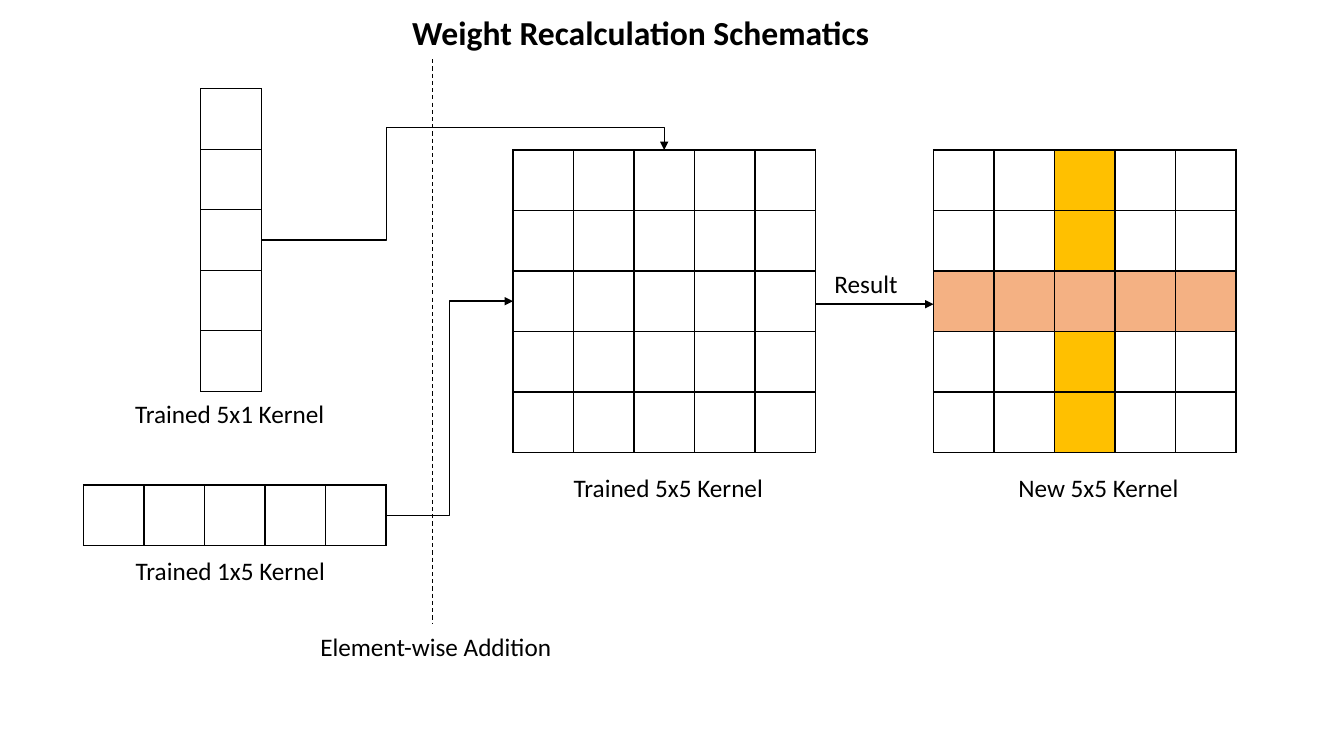
from lxml.etree import SubElement
from pptx import Presentation
from pptx.dml.color import RGBColor
from pptx.enum.dml import MSO_LINE
from pptx.enum.shapes import MSO_CONNECTOR as LINK
from pptx.oxml import parse_xml
from pptx.oxml.ns import nsdecls, qn
from pptx.util import Inches, Pt

CELL = 0.6
BLACK, GOLD, PEACH = "000000", "FFC000", "F4B183"
SIDES = ("lnL", "lnR", "lnT", "lnB")


def cells(count):
    """Convert a number of kernel cells to a length."""
    return Inches(count * CELL)


def color(value):
    """Turn a hex string into a colour."""
    return RGBColor.from_string(value)


def add_borders(cell):
    """Draw a thin black border on every side of a table cell."""
    props = cell._tc.get_or_add_tcPr()
    for index, side in enumerate(SIDES):
        props.insert(index, parse_xml(
            f'<a:{side} {nsdecls("a")} w="{Pt(1)}"><a:solidFill>'
            f'<a:srgbClr val="{BLACK}"/></a:solidFill></a:{side}>'))


def add_kernel(page, left, top, rows, columns, fills=None):
    """Add a kernel as a table of square cells, some of them filled."""
    frame = page.shapes.add_table(rows, columns, cells(left), cells(top),
                                  cells(columns), cells(rows))
    table = frame.table
    table.first_row = table.horz_banding = False
    for row in range(rows):
        for column in range(columns):
            cell = table.cell(row, column)
            value = (fills or {}).get((row, column))
            if value:
                cell.fill.solid()
                cell.fill.fore_color.rgb = color(value)
            else:
                cell.fill.background()
            add_borders(cell)


def add_label(page, text, left, top, width, height=0.67, size=18, bold=False):
    """Add one line of text."""
    box = page.shapes.add_textbox(cells(left), cells(top), cells(width), cells(height))
    box.text_frame.word_wrap = True
    span = box.text_frame.paragraphs[0].add_run()
    span.text = text
    span.font.name = "Calibri"
    span.font.size = Pt(size)
    span.font.bold = bold
    span.font.color.rgb = color(BLACK)


def add_link(page, start, end, kind=LINK.STRAIGHT, weight=1):
    """Add a plain black connector between two points."""
    link = page.shapes.add_connector(kind, *map(cells, start + end))
    link.line.width = Pt(weight)
    link.line.color.rgb = color(BLACK)
    SubElement(link.element.spPr, qn("a:effectLst"))
    return link


def add_arrow(page, start, end, kind=LINK.STRAIGHT):
    """Add a connector with a triangle head at its end."""
    arrow = add_link(page, start, end, kind)
    line = arrow.element.spPr.find(qn("a:ln"))
    SubElement(line, qn("a:tailEnd"), type="triangle")
    return arrow


def bend_twice(arrow, across, along):
    """Give an elbow arrow a further bend, placed by shares of its size."""
    shape = arrow.element.spPr.find(qn("a:prstGeom"))
    shape.set("prst", "bentConnector4")
    guides = shape.find(qn("a:avLst"))
    if guides is None:
        guides = SubElement(shape, qn("a:avLst"))
    for name, share in (("adj1", across), ("adj2", along)):
        SubElement(guides, qn("a:gd"), name=name, fmla=f"val {round(share * 100000)}")


def main():
    """Build the weight recalculation slide."""
    deck = Presentation()
    deck.slide_width, deck.slide_height = Inches(13.33), Inches(7.5)
    page = deck.slides.add_slide(deck.slide_layouts[6])

    size, middle = 5, 2.5
    tall_left, tall_top = 3.32, 1.47
    wide_left, wide_top = 1.38, 8.02
    trained_left, new_left, square_top = 8.48, 15.43, 2.48
    cross = {(row, size // 2): GOLD for row in range(size)}
    cross.update({(size // 2, column): PEACH for column in range(size)})

    add_kernel(page, trained_left, square_top, size, size)
    add_kernel(page, wide_left, wide_top, 1, size)
    add_kernel(page, tall_left, tall_top, size, 1)
    add_kernel(page, new_left, square_top, size, size, cross)

    column_arrow = add_arrow(page, (tall_left + 1, tall_top + middle),
                             (trained_left + middle, square_top), LINK.ELBOW)
    bend_twice(column_arrow, 0.31, 1.25)
    add_arrow(page, (wide_left + size, wide_top + 0.5),
              (trained_left, square_top + middle), LINK.ELBOW)
    result_row = square_top + middle + 0.05
    add_arrow(page, (trained_left + size, result_row), (new_left, result_row))
    divider = add_link(page, (7.15, 0.98), (7.15, 10.3), weight=0.75)
    divider.line.dash_style = MSO_LINE.DASH

    for text, left, top, width in (
            ("Trained 5x1 Kernel", 2.07, 6.5, 3.6),
            ("Trained 1x5 Kernel", 2.08, 9.1, 3.6),
            ("Trained 5x5 Kernel", 9.32, 7.73, 3.6),
            ("Element-wise Addition", 5.13, 10.35, 4.2),
            ("New 5x5 Kernel", 16.67, 7.73, 3),
            ("Result", 13.63, 4.35, 3.6)):
        add_label(page, text, left, top, width)
    add_label(page, "Weight Recalculation Schematics", 6.65, 0.12, 8.67, 0.83, 24, True)
    deck.save("out.pptx")


main()
